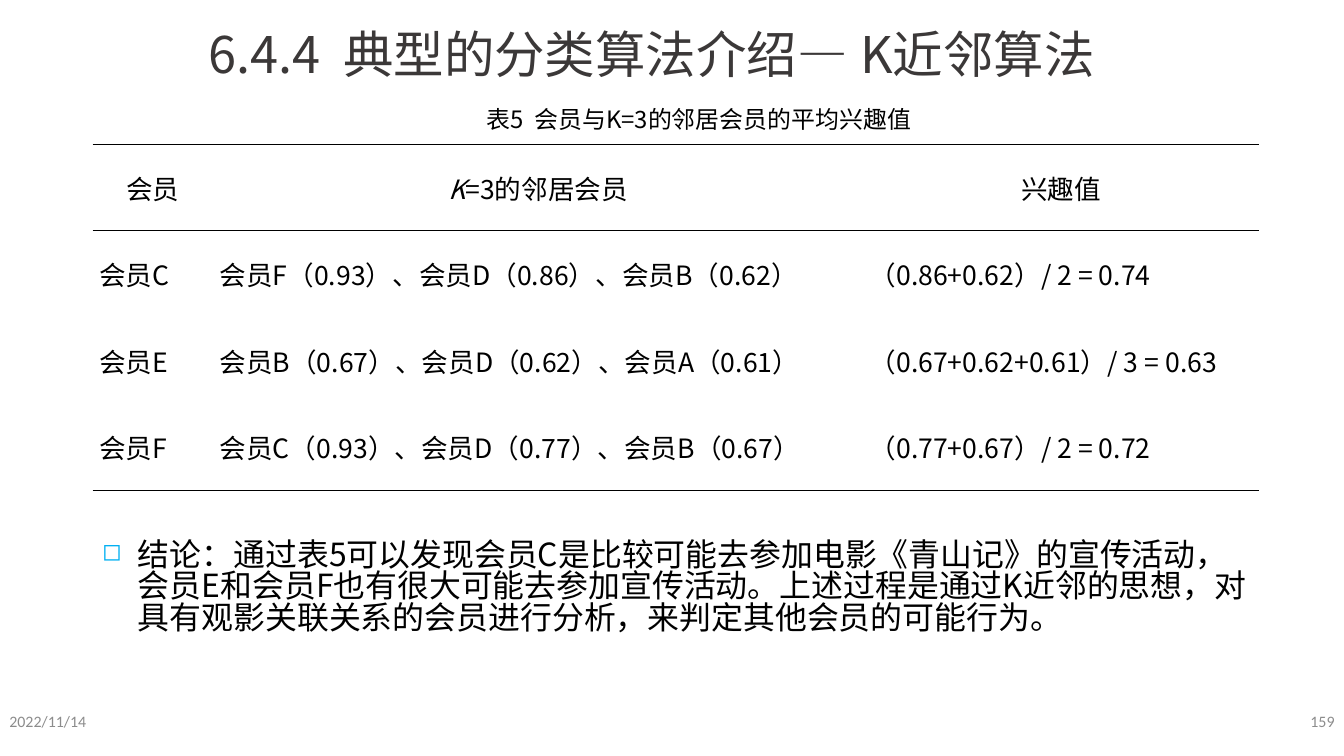
import pptx
import pptx.dml.color
import pptx.enum.text
import pptx.oxml
import pptx.oxml.ns
import pptx.util

Pt = pptx.util.Pt
RGB = pptx.dml.color.RGBColor
ALIGN = pptx.enum.text.PP_ALIGN
ANCHOR = pptx.enum.text.MSO_ANCHOR

BLACK = RGB(0x00, 0x00, 0x00)
TITLE_GRAY = RGB(0x3B, 0x38, 0x38)
FOOTER_GRAY = RGB(0x8C, 0x8C, 0x8C)
BULLET_BLUE = RGB(0x00, 0xB0, 0xF2)
CJK_FONT = "Noto Sans CJK SC"
FOOTER_FONT = "Calibri"

SLIDE_W, SLIDE_H = 1012.32, 569.52
LEFT = 69.8
COL_WIDTHS = [90.7, 489.6, 298.1]
ROW_H = 65.2

MEMBERS = [
    ("会员C", "会员F（0.93）、会员D（0.86）、会员B（0.62）", "（0.86+0.62）/ 2 = 0.74"),
    ("会员E", "会员B（0.67）、会员D（0.62）、会员A（0.61）", "（0.67+0.62+0.61）/ 3 = 0.63"),
    ("会员F", "会员C（0.93）、会员D（0.77）、会员B（0.67）", "（0.77+0.67）/ 2 = 0.72"),
]
HEADER = ("会员", [("K", {"italic": True}), ("=3的邻居会员", {})], "兴趣值")
CONCLUSION = (
    "结论：通过表5可以发现会员C是比较可能去参加电影《青山记》的宣传活动，"
    "会员E和会员F也有很大可能去参加宣传活动。上述过程是通过K近邻的思想，"
    "对具有观影关联关系的会员进行分析，来判定其他会员的可能行为。"
)


def xml(tag, inner="", **attrs):
    """Build one DrawingML element."""
    text = "".join(f' {name}="{value}"' for name, value in attrs.items())
    ns = pptx.oxml.ns.nsdecls("a")
    return pptx.oxml.parse_xml(f"<a:{tag} {ns}{text}>{inner}</a:{tag}>")


class SlideWriter:
    def __init__(self, slide, font, color):
        self.slide, self.font, self.color = slide, font, color

    def runs(self, p, content, size, font=None, color=None):
        """Add a string, or (text, format) pairs, to a paragraph."""
        pairs = [(content, {})] if isinstance(content, str) else content
        for text, fmt in pairs:
            r = p.add_run()
            r.text = text
            r.font.size = Pt(fmt.get("size", size))
            r.font.name = font or self.font
            r.font.color.rgb = color or self.color
            r.font.bold = fmt.get("bold", False)
            r.font.italic = fmt.get("italic", False)
            latin = r.font._element.find(pptx.oxml.ns.qn("a:latin"))
            latin.addnext(xml("ea", typeface=font or self.font))

    def text(self, box, content, size, font=None, color=None, align=ALIGN.LEFT,
             anchor=ANCHOR.TOP, wrap=True, bullet=False):
        sp = self.slide.shapes.add_textbox(*map(Pt, box))
        tf = sp.text_frame
        tf.word_wrap = wrap
        tf.vertical_anchor = anchor
        p = tf.paragraphs[0]
        p.alignment = align
        if bullet:
            self.bullet(p)
        self.runs(p, content, size, font, color)

    def bullet(self, p):
        p.line_spacing = 0.83
        pPr = p._p.get_or_add_pPr()
        pPr.set("marL", str(Pt(27)))
        pPr.set("indent", str(-Pt(27)))
        pPr.append(xml("buClr", f'<a:srgbClr val="{BULLET_BLUE}"/>'))
        pPr.append(xml("buSzPct", val=75000))
        pPr.append(xml("buChar", char="◻"))

    def borders(self, cell, ruled):
        """Rule the named sides in black and clear the others."""
        tcPr = cell._tc.get_or_add_tcPr()
        for i, side in enumerate(("L", "R", "T", "B")):
            fill = "<a:noFill/>"
            if side in ruled:
                fill = f'<a:solidFill><a:srgbClr val="{BLACK}"/></a:solidFill>'
            tcPr.insert(i, xml(f"ln{side}", fill, w=Pt(1)))

    def table(self, left, top, widths, row_h, rows, size):
        """Draw a table with rules around its header and at its foot."""
        table = self.slide.shapes.add_table(
            len(rows), len(widths), Pt(left), Pt(top),
            Pt(sum(widths)), Pt(row_h * len(rows))).table
        table.first_row = table.horz_banding = False
        for col, width in zip(table.columns, widths):
            col.width = Pt(width)
        sides = {0: "TB", 1: "T", len(rows) - 1: "B"}
        for i, row in enumerate(rows):
            for j, content in enumerate(row):
                cell = table.cell(i, j)
                cell.fill.background()
                cell.vertical_anchor = ANCHOR.MIDDLE
                cell.margin_left = cell.margin_right = Pt(5)
                cell.margin_top = cell.margin_bottom = 0
                self.borders(cell, sides.get(i, ""))
                p = cell.text_frame.paragraphs[0]
                p.alignment = ALIGN.CENTER if i == 0 else ALIGN.LEFT
                self.runs(p, content, size)


def main():
    prs = pptx.Presentation()
    prs.slide_width, prs.slide_height = Pt(SLIDE_W), Pt(SLIDE_H)
    s = SlideWriter(prs.slides.add_slide(prs.slide_layouts[6]), CJK_FONT, BLACK)

    footer_w = 227.5
    for left, label, align in ((0, "2022/11/14", ALIGN.LEFT),
                               (SLIDE_W - footer_w, "159", ALIGN.RIGHT)):
        s.text((left, 527.8, footer_w, 30.2), label, 12, FOOTER_FONT,
               FOOTER_GRAY, align, ANCHOR.MIDDLE)

    title = [("6.4.4  典型的分类算法介绍—", {}),
             (" ", {"size": 40, "bold": True}), ("K近邻算法", {})]
    s.text((149.8, 12.2, 712, 56.2), title, 38, color=TITLE_GRAY, wrap=False)
    s.text((LEFT, 403.9, 884.2, 67.7), CONCLUSION, 24, bullet=True)
    s.text((296.6, 74.9, 459.4, 28.8), "表5  会员与K=3的邻居会员的平均兴趣值", 18,
           align=ALIGN.CENTER, anchor=ANCHOR.MIDDLE)
    s.table(LEFT, 108.7, COL_WIDTHS, ROW_H, [HEADER, *MEMBERS], 20)
    prs.save("out.pptx")


if __name__ == "__main__":
    main()
